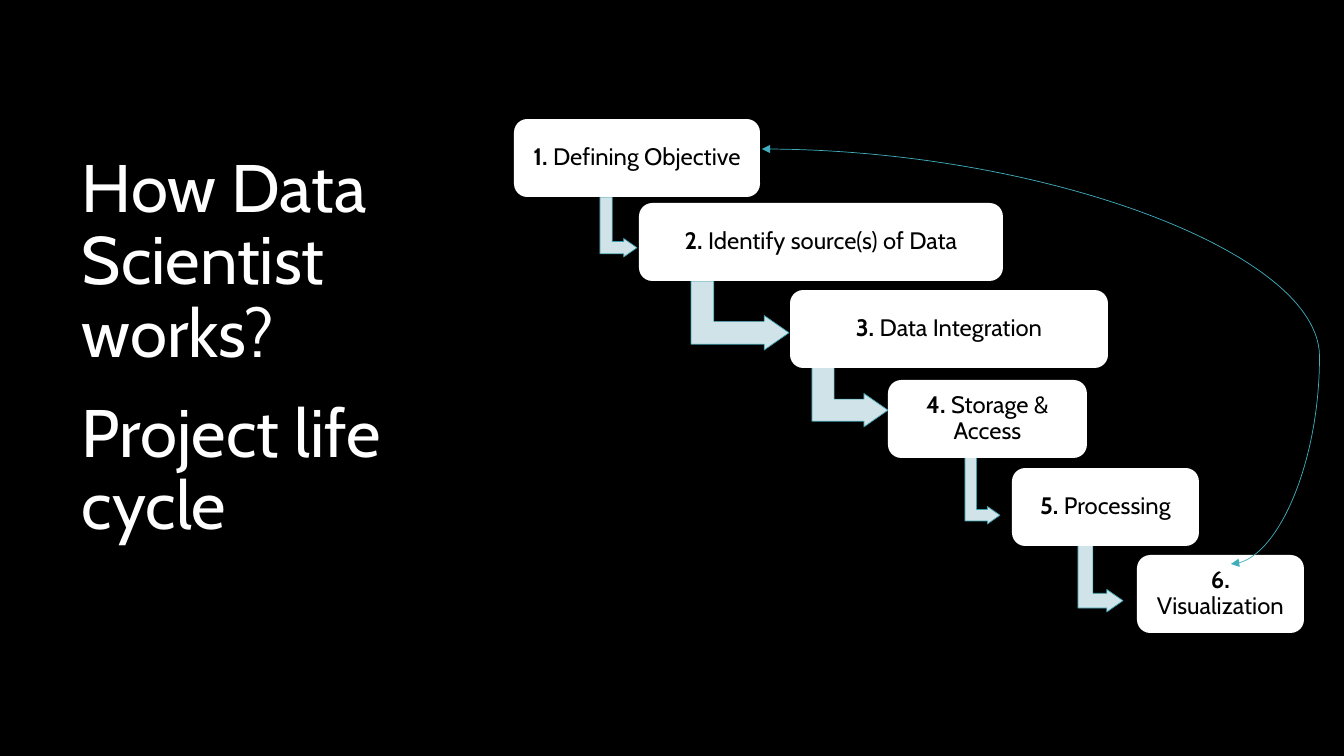
from lxml import etree
from pptx import Presentation
from pptx import util as u
from pptx.dml.color import RGBColor
from pptx.enum import shapes, text
from pptx.oxml.ns import qn

TITLE = "How Data Scientist works?\v\vProject life cycle"
STEPS = [
    ("Defining Objective", 514, 119, 246),
    ("Identify source(s) of Data", 639, 203, 364),
    ("Data Integration", 790, 290, 318),
    ("Storage & Access", 888, 380, 199),
    ("Processing", 1012, 468, 187),
    ("Visualization", 1137, 555, 167),
]
BENDS = [
    (600, 197, 37, 60),
    (691, 281, 98, 69),
    (812, 360, 76, 67),
    (965, 457, 35, 67),
    (1078, 545, 45, 67),
]
LOOP = (1231, 564, 762, 149)
STEP_H = 78


def px(n):
    return u.Emu(round(n * 914400 / 100.8))


def color(code):
    return RGBColor.from_string(code)


def write(shape, runs, size, ink, align, anchor, pad):
    frame = shape.text_frame
    frame.word_wrap = True
    frame.vertical_anchor = anchor
    frame.margin_left = frame.margin_right = px(pad[0])
    frame.margin_top = frame.margin_bottom = px(pad[1])
    para = frame.paragraphs[0]
    para.alignment = align
    para.line_spacing = 0.9
    for words, bold in runs:
        for i, line in enumerate(words.split("\v")):
            if i:
                para.add_line_break()
            if line:
                run = para.add_run()
                run.text = line
                font = run.font
                font.name, font.size, font.bold = "Cabin", u.Pt(size), bold
                font.color.rgb = color(ink)


def draw(kind, box, fill, adjust, edge=None):
    shape = slide.shapes.add_shape(kind, *map(px, box))
    shape.shadow.inherit = False
    shape.fill.solid()
    shape.fill.fore_color.rgb = color(fill)
    for i, value in enumerate(adjust):
        shape.adjustments[i] = value
    if edge:
        shape.line.color.rgb = color(edge)
        shape.line.width = u.Pt(0.5)
    else:
        shape.line.fill.background()
    return shape


deck = Presentation()
deck.slide_width, deck.slide_height = px(1344), px(756)
slide = deck.slides.add_slide(deck.slide_layouts[6])
slide.background.fill.solid()
slide.background.fill.fore_color.rgb = color("000000")

title = slide.shapes.add_textbox(*map(px, (72, 149, 324, 491)))
write(title, [(TITLE, False)], 48, "FFFFFF",
      text.PP_ALIGN.LEFT, text.MSO_ANCHOR.TOP, (10, 5))

for x, y, w, h in BENDS:
    turned = (x + (w - h) / 2, y + (h - w) / 2, h, w)
    bend = draw(shapes.MSO_SHAPE.BENT_UP_ARROW, turned, "CFE3E8",
                (0.33, 0.25, 0.36), "3B9EAC")
    bend.rotation = 90

for n, (label, x, y, w) in enumerate(STEPS, 1):
    step = draw(shapes.MSO_SHAPE.ROUNDED_RECTANGLE, (x, y, w, STEP_H),
                "FFFFFF", (0.17,))
    write(step, [(f"{n}. ", True), (label, False)], 17, "000000",
          text.PP_ALIGN.CENTER, text.MSO_ANCHOR.MIDDLE, (7, 7))

loop = slide.shapes.add_connector(shapes.MSO_CONNECTOR.CURVE, *map(px, LOOP))
loop.line.color.rgb = color("41AEBD")
loop.line.width = u.Pt(0.5)
props = loop._element.spPr
for end in ("a:headEnd", "a:tailEnd"):
    etree.SubElement(props.find(qn("a:ln")), qn(end), type="triangle")
etree.SubElement(props, qn("a:effectLst"))
guides = props.find(qn("a:prstGeom")).find(qn("a:avLst"))
etree.SubElement(guides, qn("a:gd"), name="adj1", fmla="val -18900")

deck.save("out.pptx")
